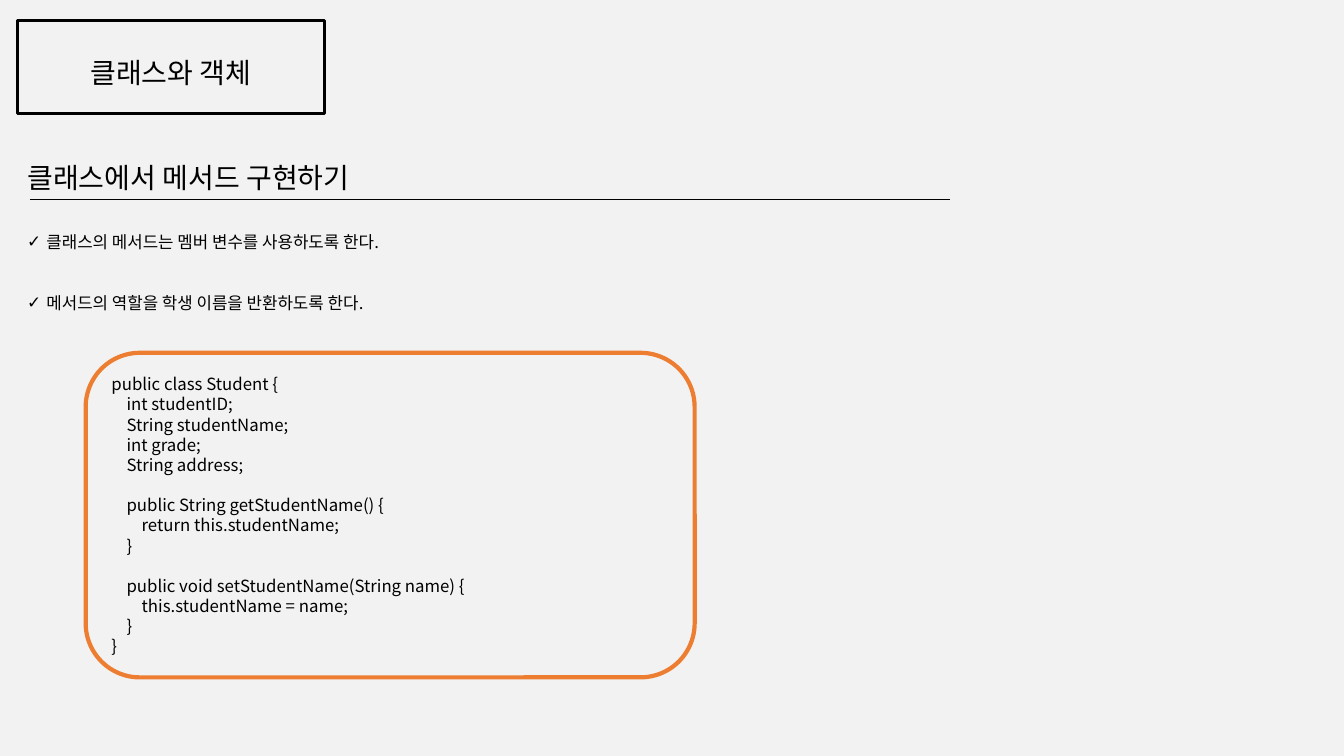
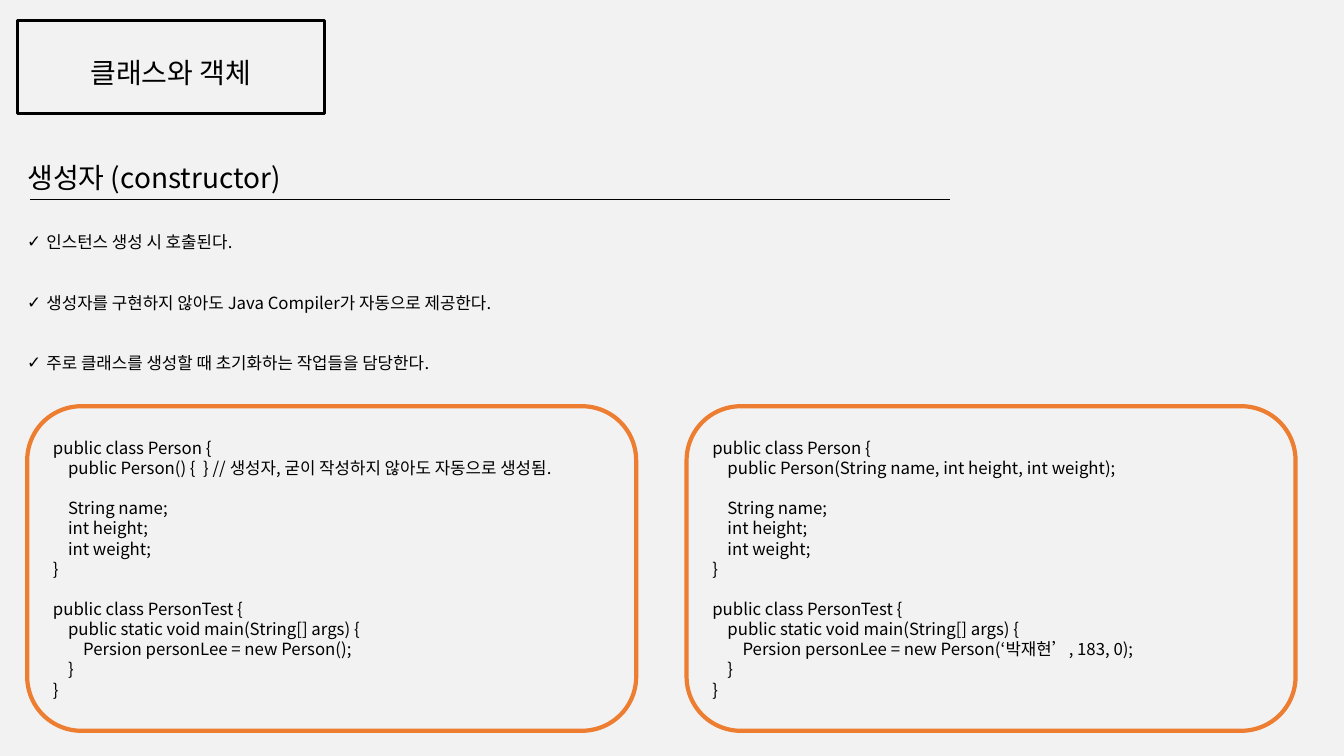
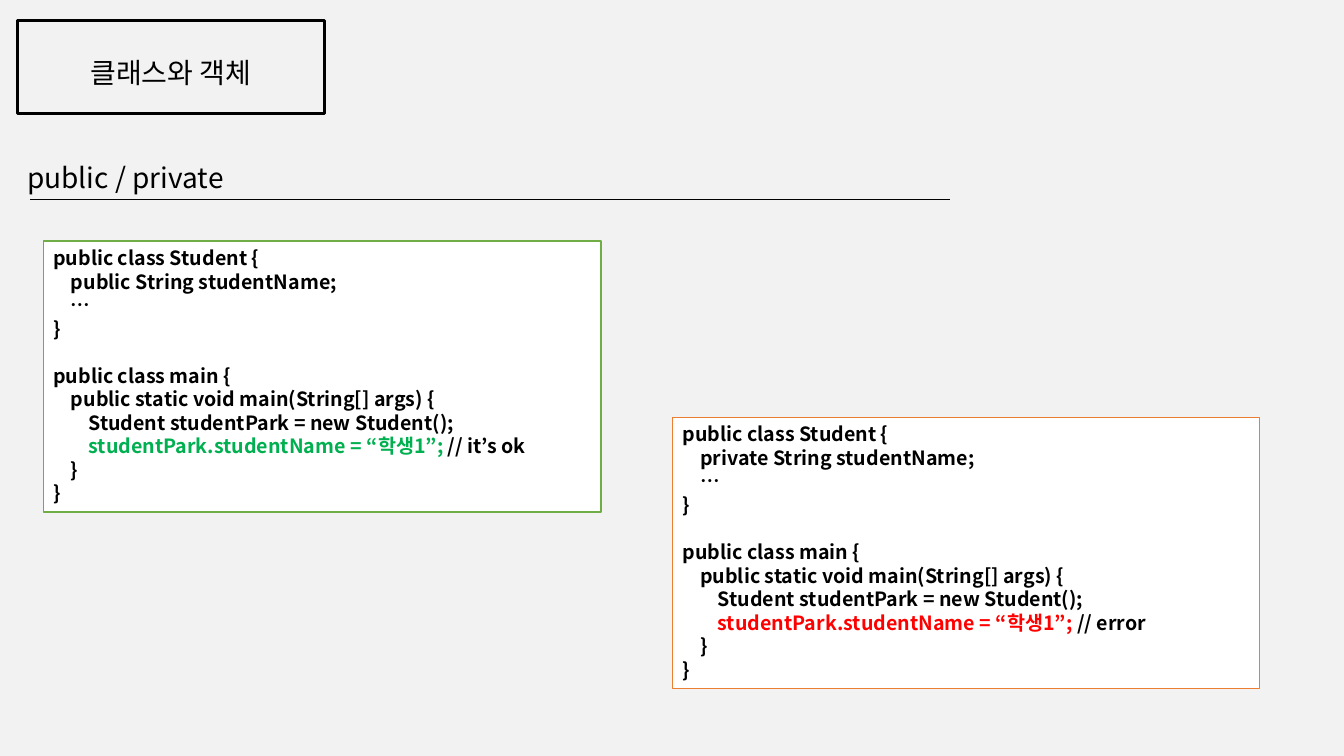
from lxml.etree import SubElement
from pptx import Presentation
from pptx.dml.color import RGBColor
from pptx.enum.shapes import MSO_CONNECTOR, MSO_SHAPE
from pptx.enum.text import MSO_ANCHOR, MSO_AUTO_SIZE, PP_ALIGN
from pptx.oxml.ns import qn
from pptx.util import Inches, Pt

FONT = "Noto Sans CJK KR"
BLACK, WHITE, PAPER = "000000", "FFFFFF", "F2F2F2"
ORANGE, GREEN = "ED7D31", "70AD47"
OK_TEXT, ERROR_TEXT = "00B050", "FF0000"
LINE_RATIO = 1.2
TOPIC = "클래스와 객체"

STUDENT_CODE = """public class Student {
    int studentID;
    String studentName;
    int grade;
    String address;

    public String getStudentName() {
        return this.studentName;
    }

    public void setStudentName(String name) {
        this.studentName = name;
    }
}"""

PERSON_CODE = """public class Person {{
    {constructor}

    String name;
    int height;
    int weight;
}}

public class PersonTest {{
    public static void main(String[] args) {{
        Persion personLee = new Person({arguments});
    }}
}}"""

ACCESS_CODE = """public class Student {{
    {access} String studentName;
    …
}}

public class main {{
    public static void main(String[] args) {{
        Student studentPark = new Student();
        studentPark.studentName = “학생1”; // {remark}
    }}
}}"""


def rgb(color):
    return RGBColor.from_string(color)


def style_run(run, size, color=BLACK, bold=False):
    run.font.name = FONT
    run.font.size = Pt(size)
    run.font.bold = bold
    run.font.color.rgb = rgb(color)
    SubElement(run.font._element, qn("a:ea")).set("typeface", FONT)


def style_paragraph(paragraph, size, align=PP_ALIGN.LEFT, spacing=1, before=0, bold=False):
    paragraph.alignment = align
    paragraph.line_spacing = Pt(size * LINE_RATIO * spacing)
    paragraph.space_before = Pt(before)
    for run in paragraph.runs:
        style_run(run, size, bold=bold)


def indent(paragraph, left, first=0):
    properties = paragraph._p.get_or_add_pPr()
    properties.set("marL", str(Inches(left)))
    properties.set("indent", str(Inches(first)))
    return properties


def place(part, left, top, width, height):
    part.left, part.top = Inches(left), Inches(top)
    part.width, part.height = Inches(width), Inches(height)
    part.text_frame.word_wrap = True
    part.text_frame.auto_size = MSO_AUTO_SIZE.NONE
    part.text_frame.vertical_anchor = MSO_ANCHOR.TOP


def add_panel(slide, preset, box, line, line_width, fill=None):
    panel = slide.shapes.add_shape(preset, *map(Inches, box))
    place(panel, *box)
    panel.shadow.inherit = False
    if fill:
        panel.fill.solid()
        panel.fill.fore_color.rgb = rgb(fill)
    else:
        panel.fill.background()
    panel.line.color.rgb = rgb(line)
    panel.line.width = Pt(line_width)
    return panel


def add_topic(slide, box):
    frame = add_panel(slide, MSO_SHAPE.RECTANGLE, box, BLACK, 2).text_frame
    frame.vertical_anchor = MSO_ANCHOR.MIDDLE
    frame.margin_top = Inches(0.16)
    frame.text = TOPIC
    style_paragraph(frame.paragraphs[0], 20, PP_ALIGN.CENTER)


def add_heading(slide, heading, box):
    left, top, width, height = box
    title = slide.shapes.title
    place(title, left, top, 6.63, height)
    title.text_frame.text = heading
    style_paragraph(title.text_frame.paragraphs[0], 20)
    bottom = Inches(top + height)
    rule = slide.shapes.add_connector(
        MSO_CONNECTOR.STRAIGHT, Inches(left + 0.13), bottom, Inches(left + width), bottom)
    rule.line.color.rgb = rgb(BLACK)
    rule.line.width = Pt(1.25)
    SubElement(rule._element.spPr, qn("a:effectLst"))


def add_points(slide, points, left, top, width):
    size, spacing = 12, 1.5
    step = size * LINE_RATIO * spacing
    body = slide.placeholders[1]
    place(body, left, top, width, 0.1 + (2 * len(points) - 1) * step / 72)
    body.text_frame.text = "\n".join(points)
    for index, paragraph in enumerate(body.text_frame.paragraphs):
        style_paragraph(paragraph, size, spacing=spacing, before=step if index else 0)
        SubElement(indent(paragraph, 0.19, -0.19), qn("a:buChar")).set("char", "✓")


def fill_code(frame, code, size, bold=False, highlight=None):
    before = 0
    paragraph = frame.paragraphs[0]
    for number, line in enumerate(code.splitlines()):
        statement = line.lstrip()
        if not statement:
            before = size * LINE_RATIO
            continue
        if number:
            paragraph = frame.add_paragraph()
        if highlight and "// " in statement:
            assignment, remark = statement.split("// ")
            paragraph.text = assignment
            paragraph.add_run().text = "// " + remark
        else:
            paragraph.text = statement
        style_paragraph(paragraph, size, before=before, bold=bold)
        if len(paragraph.runs) > 1:
            paragraph.runs[0].font.color.rgb = rgb(highlight)
        indent(paragraph, (len(line) - len(statement)) * size / 320)
        before = 0


def add_rounded_code(slide, code, left, top):
    panel = add_panel(slide, MSO_SHAPE.ROUNDED_RECTANGLE, (left, top, 6.04, 3.22), ORANGE, 3)
    panel.text_frame.vertical_anchor = MSO_ANCHOR.MIDDLE
    fill_code(panel.text_frame, code, 12)


def add_access_code(slide, access, remark, box, line, highlight):
    panel = add_panel(slide, MSO_SHAPE.RECTANGLE, box, line, 1, WHITE)
    code = ACCESS_CODE.format(access=access, remark=remark)
    fill_code(panel.text_frame, code, 14, True, highlight)


def add_lesson(deck, heading, points=()):
    slide = deck.slides.add_slide(deck.slide_layouts[1 if points else 5])
    add_topic(slide, (0.17, 0.2, 3.05, 0.93))
    add_heading(slide, heading, (0.17, 1.54, 9.25, 0.44))
    if points:
        add_points(slide, points, 0.17, 2.15, 9.45)
    return slide


def main():
    deck = Presentation()
    deck.slide_width, deck.slide_height = Inches(13.33), Inches(7.5)
    background = deck.slide_master.background.fill
    background.solid()
    background.fore_color.rgb = rgb(PAPER)

    methods = add_lesson(deck, "클래스에서 메서드 구현하기", [
        "클래스의 메서드는 멤버 변수를 사용하도록 한다.",
        "메서드의 역할을 학생 이름을 반환하도록 한다.",
    ])
    add_rounded_code(methods, STUDENT_CODE, 0.85, 3.5)

    constructors = add_lesson(deck, "생성자 (constructor)", [
        "인스턴스 생성 시 호출된다.",
        "생성자를 구현하지 않아도 Java Compiler가 자동으로 제공한다.",
        "주로 클래스를 생성할 때 초기화하는 작업들을 담당한다.",
    ])
    variants = [
        (0.27, "public Person() {  } // 생성자, 굳이 작성하지 않아도 자동으로 생성됨.", ""),
        (6.81, "public Person(String name, int height, int weight);", "‘박재현’, 183, 0"),
    ]
    for left, constructor, arguments in variants:
        code = PERSON_CODE.format(constructor=constructor, arguments=arguments)
        add_rounded_code(constructors, code, left, 4.03)

    access = add_lesson(deck, "public / private")
    add_access_code(access, "private", "error", (6.67, 4.14, 5.82, 2.69), ORANGE, ERROR_TEXT)
    add_access_code(access, "public", "it’s ok", (0.43, 2.39, 5.53, 2.69), GREEN, OK_TEXT)

    deck.save("out.pptx")


if __name__ == "__main__":
    main()
